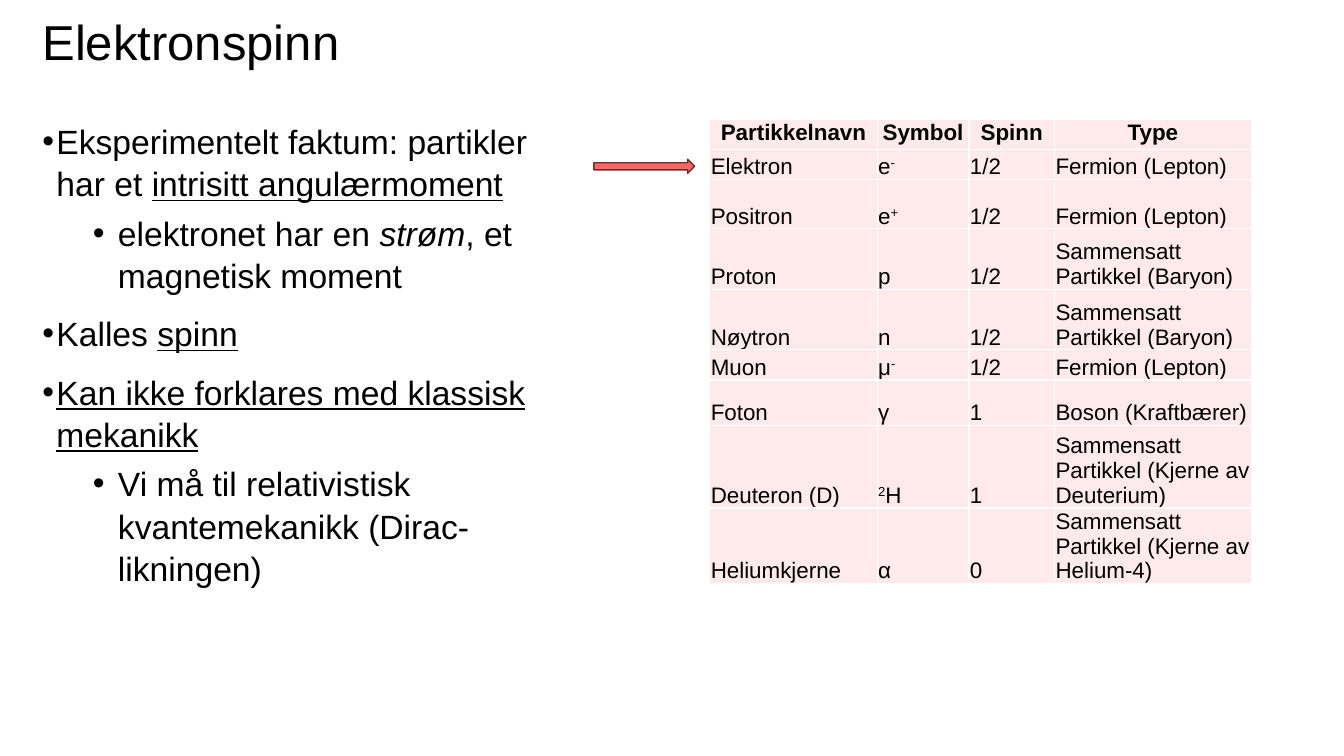
from lxml import etree
from pptx import Presentation
from pptx.dml.color import RGBColor
from pptx.enum.shapes import MSO_SHAPE
from pptx.enum.text import MSO_ANCHOR, MSO_AUTO_SIZE, PP_ALIGN
from pptx.oxml.ns import qn
from pptx.util import Inches, Pt

RIGHT_ARROW = MSO_SHAPE.RIGHT_ARROW
TOP, BOTTOM = MSO_ANCHOR.TOP, MSO_ANCHOR.BOTTOM
LEFT, CENTER = PP_ALIGN.LEFT, PP_ALIGN.CENTER
NO_FIT = MSO_AUTO_SIZE.NONE

BLACK = RGBColor(0x00, 0x00, 0x00)
WHITE = RGBColor(0xFF, 0xFF, 0xFF)
PINK = RGBColor(0xFE, 0xEA, 0xEA)
RED = RGBColor(0xFB, 0x66, 0x66)
DARK_RED = RGBColor(0x6E, 0x2D, 0x2D)

TITLE = "Elektronspinn"
UNDERLINE, ITALIC, PLAIN = {"underline": True}, {"italic": True}, {}
# (level, [(text, format), ...])
POINTS = [
    (0, [("Eksperimentelt faktum: partikler har et ", PLAIN),
         ("intrisitt angulærmoment", UNDERLINE)]),
    (1, [("elektronet har en ", PLAIN), ("strøm", ITALIC),
         (", et magnetisk moment", PLAIN)]),
    (0, [("Kalles ", PLAIN), ("spinn", UNDERLINE)]),
    (0, [("Kan ikke forklares med klassisk mekanikk", UNDERLINE)]),
    (1, [("Vi må til relativistisk kvantemekanikk (Dirac-likningen)", PLAIN)]),
]
# level: (left margin, hanging indent, space before)
LEVELS = {0: (0.14, 0.14, 11.5), 1: (0.75, 0.25, 5)}

LEPTON = "Fermion (Lepton)"
BARYON = "Sammensatt Partikkel (Baryon)"
NUCLEUS = "Sammensatt Partikkel (Kjerne av {})"
# ^x^ marks a superscript
PARTICLES = [
    ("Partikkelnavn", "Symbol", "Spinn", "Type"),
    ("Elektron", "e^-^", "1/2", LEPTON),
    ("Positron", "e^+^", "1/2", LEPTON),
    ("Proton", "p", "1/2", BARYON),
    ("Nøytron", "n", "1/2", BARYON),
    ("Muon", "μ^-^", "1/2", LEPTON),
    ("Foton", "γ", "1", "Boson (Kraftbærer)"),
    ("Deuteron (D)", "^2^H", "1", NUCLEUS.format("Deuterium")),
    ("Heliumkjerne", "α", "0", NUCLEUS.format("Helium-4")),
]
COLUMN_WIDTHS = [1.66, 0.91, 0.85, 1.95]
ROW_HEIGHTS = [0.3, 0.3, 0.49, 0.6, 0.6, 0.3, 0.45, 0.82, 0.74]


def set_all(target, values):
    for name, value in values.items():
        setattr(target, name, value)


def add_span(para, text, size, **values):
    span = para.add_run()
    span.text = text
    set_all(span.font, {"name": "Arial", "size": Pt(size), **values})
    span.font.color.rgb = BLACK
    return span


def place(shape, left, top, width, height):
    set_all(shape, {"left": Inches(left), "top": Inches(top),
                    "width": Inches(width), "height": Inches(height)})
    set_all(shape.text_frame, {
        "margin_left": 0, "margin_top": 0, "margin_right": 0, "margin_bottom": 0,
        "word_wrap": True, "auto_size": NO_FIT, "vertical_anchor": TOP})


def add_bullet(para, level):
    margin, hanging, _ = LEVELS[level]
    properties = para._p.get_or_add_pPr()
    properties.set("marL", str(Inches(margin)))
    properties.set("indent", str(-Inches(hanging)))
    etree.SubElement(properties, qn("a:buFont")).set("typeface", "Arial")
    etree.SubElement(properties, qn("a:buChar")).set("char", "•")


def add_borders(cell):
    properties = cell._tc.get_or_add_tcPr()
    for index, side in enumerate(("a:lnL", "a:lnR", "a:lnT", "a:lnB")):
        line = etree.Element(qn(side), w=str(Pt(1)))
        fill = etree.SubElement(line, qn("a:solidFill"))
        etree.SubElement(fill, qn("a:srgbClr")).set("val", str(WHITE))
        properties.insert(index, line)


def fill_cell(cell, text, is_header):
    set_all(cell, {"margin_left": Inches(0.01), "margin_top": Inches(0.01),
                   "margin_right": Inches(0.01), "margin_bottom": 0,
                   "vertical_anchor": TOP if is_header else BOTTOM})
    cell.fill.solid()
    cell.fill.fore_color.rgb = PINK
    add_borders(cell)
    para = cell.text_frame.paragraphs[0]
    para.alignment = CENTER if is_header else LEFT
    for index, part in enumerate(text.split("^")):
        if part:
            span = add_span(para, part, 16, bold=is_header)
            if index % 2:
                span.font._element.set("baseline", "30000")


def add_points(body):
    place(body, 0.42, 1.18, 4.88, 5.44)
    frame = body.text_frame
    for index, (level, spans) in enumerate(POINTS):
        para = frame.add_paragraph() if index else frame.paragraphs[0]
        add_bullet(para, level)
        set_all(para, {"level": level, "alignment": LEFT, "line_spacing": 1.05,
                       "space_before": Pt(LEVELS[level][2] if index else 0)})
        for text, values in spans:
            add_span(para, text, 24, **values)


def add_particle_table(slide):
    frame = slide.shapes.add_table(
        len(PARTICLES), len(COLUMN_WIDTHS), Inches(7.04), Inches(1.18),
        Inches(sum(COLUMN_WIDTHS)), Inches(sum(ROW_HEIGHTS)))
    table = frame.table
    set_all(table, {"first_row": False, "horz_banding": False})
    for column, width in zip(table.columns, COLUMN_WIDTHS):
        column.width = Inches(width)
    for index, (row, height) in enumerate(zip(table.rows, ROW_HEIGHTS)):
        row.height = Inches(height)
        for cell, text in zip(row.cells, PARTICLES[index]):
            fill_cell(cell, text, index == 0)


def main():
    deck = Presentation()
    set_all(deck, {"slide_width": Inches(13.33), "slide_height": Inches(7.5)})
    slide = deck.slides.add_slide(deck.slide_layouts[1])
    title, body = slide.placeholders

    place(title, 0.42, 0.18, 12.5, 0.82)
    heading = title.text_frame.paragraphs[0]
    set_all(heading, {"alignment": LEFT, "line_spacing": 0.9})
    add_span(heading, TITLE, 35)

    add_points(body)
    add_particle_table(slide)

    arrow = slide.shapes.add_shape(
        RIGHT_ARROW, Inches(5.89), Inches(1.58), Inches(1), Inches(0.14))
    arrow.shadow.inherit = False
    arrow.fill.solid()
    arrow.fill.fore_color.rgb = RED
    arrow.line.color.rgb = DARK_RED
    arrow.line.width = Pt(1)
    deck.save("out.pptx")


if __name__ == "__main__":
    main()
